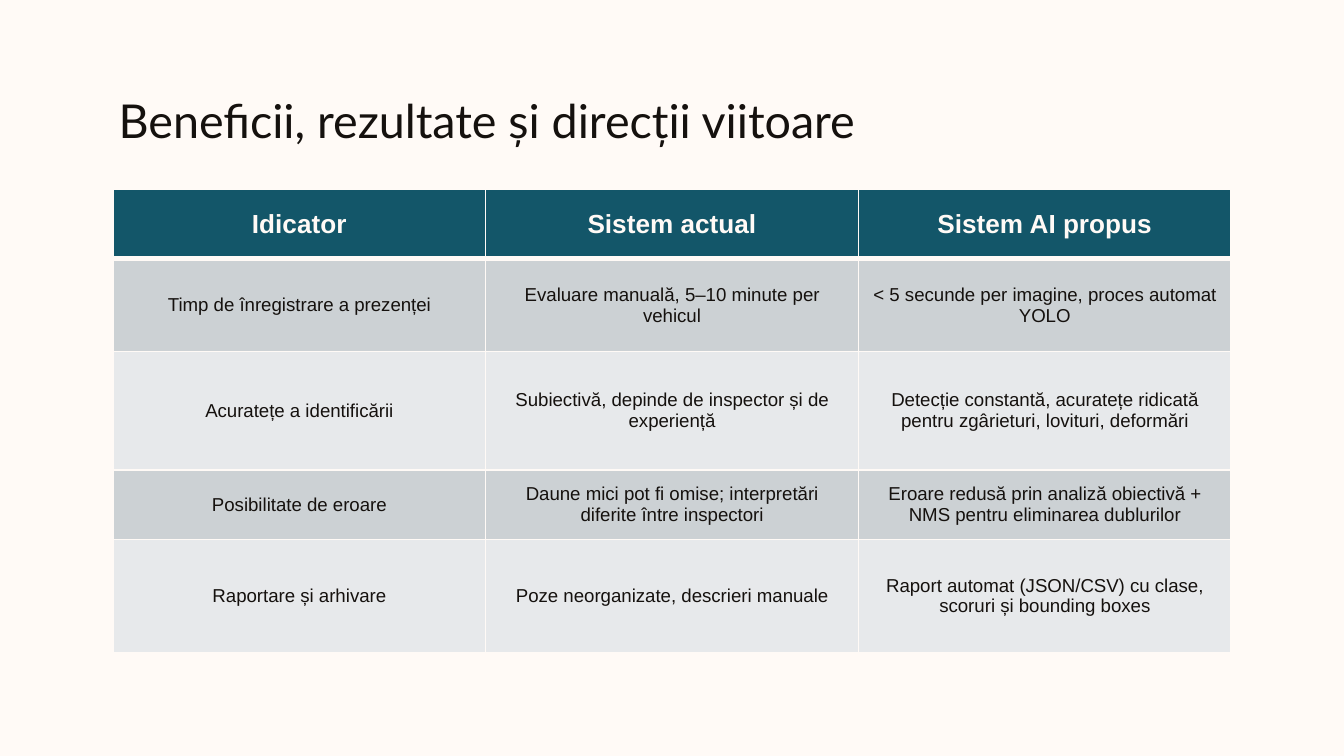
from lxml import etree
from pptx import Presentation
from pptx import util as u
from pptx.dml.color import RGBColor
from pptx.enum import text
from pptx.oxml.ns import qn

W = u.Inches(10)
H = W * 9 // 16
COLORS = {"paper": "FFFAF6", "ink": "15110E", "header": "135669",
          "odd": "CCD1D4", "even": "E7E9EB"}
ROW_HEIGHTS = [0.52, 0.69, 0.88, 0.52, 0.84]
ROWS = [
    ["Idicator", "Sistem actual", "Sistem AI propus"],
    ["Timp de înregistrare a prezenței",
     "Evaluare manuală, 5–10 minute per vehicul",
     "< 5 secunde per imagine, proces automat YOLO"],
    ["Acuratețe a identificării",
     "Subiectivă, depinde de inspector și de experiență",
     "Detecție constantă, acuratețe ridicată pentru zgârieturi, lovituri, deformări"],
    ["Posibilitate de eroare",
     "Daune mici pot fi omise; interpretări diferite între inspectori",
     "Eroare redusă prin analiză obiectivă + NMS pentru eliminarea dublurilor"],
    ["Raportare și arhivare",
     "Poze neorganizate, descrieri manuale",
     "Raport automat (JSON/CSV) cu clase, scoruri și bounding boxes"],
]


def rgb(name):
    """Return the named palette colour."""
    return RGBColor.from_string(COLORS[name])


def share(percent, whole):
    """Return a percentage of a slide dimension."""
    return u.Emu(round(whole * percent / 100))


def style_font(p, face, size, color, bold=False):
    """Set the font of a paragraph."""
    p.font.name = face
    p.font.size = u.Pt(size)
    p.font.bold = bold
    p.font.color.rgb = rgb(color)


def set_borders(cell, widths):
    """Draw the cell's left, right, top and bottom edges in the paper colour."""
    tc_pr = cell._tc.get_or_add_tcPr()
    for i, (side, width) in enumerate(zip("LRTB", widths)):
        ln = etree.Element(qn(f"a:ln{side}"), w=str(u.Pt(width)))
        fill = etree.SubElement(ln, qn("a:solidFill"))
        etree.SubElement(fill, qn("a:srgbClr"), val=COLORS["paper"])
        tc_pr.insert(i, ln)


def add_title(slide, title):
    """Add the slide title."""
    sp = slide.shapes.add_textbox(share(7.85, W), share(10.5, H),
                                  share(84.4, W), share(10.7, H))
    tf = sp.text_frame
    tf.word_wrap = True
    tf.vertical_anchor = text.MSO_ANCHOR.MIDDLE
    tf.margin_left = tf.margin_right = tf.margin_top = tf.margin_bottom = u.Inches(0.1)
    p = tf.paragraphs[0]
    p.text = title
    style_font(p, "Lato", 25, "ink")


def fill_cell(cell, content, row):
    """Write and style one table cell according to its row."""
    header = row == 0
    cell.fill.solid()
    cell.fill.fore_color.rgb = rgb("header" if header else "odd" if row % 2 else "even")
    cell.vertical_anchor = text.MSO_ANCHOR.MIDDLE
    p = cell.text_frame.paragraphs[0]
    p.text = content
    p.alignment = text.PP_ALIGN.CENTER
    style_font(p, "Arial", 14 if header else 10, "paper" if header else "ink", header)
    set_borders(cell, (1, 1, 3 if row == 1 else 1, 3 if header else 1))


def add_comparison(slide):
    """Add the comparison table with equal columns."""
    cols = len(ROWS[0])
    width = share(83.2, W)
    table = slide.shapes.add_table(len(ROWS), cols, share(8.4, W), share(25, H),
                                   width, u.Inches(sum(ROW_HEIGHTS))).table
    for column in table.columns:
        column.width = width // cols
    for i, (height, contents) in enumerate(zip(ROW_HEIGHTS, ROWS)):
        table.rows[i].height = u.Inches(height)
        for j, content in enumerate(contents):
            fill_cell(table.cell(i, j), content, i)


def main():
    """Build and save the slide."""
    prs = Presentation()
    prs.slide_width, prs.slide_height = W, H
    slide = prs.slides.add_slide(prs.slide_layouts[6])
    slide.background.fill.solid()
    slide.background.fill.fore_color.rgb = rgb("paper")
    add_title(slide, "Beneficii, rezultate și direcții viitoare")
    add_comparison(slide)
    prs.save("out.pptx")


if __name__ == "__main__":
    main()
